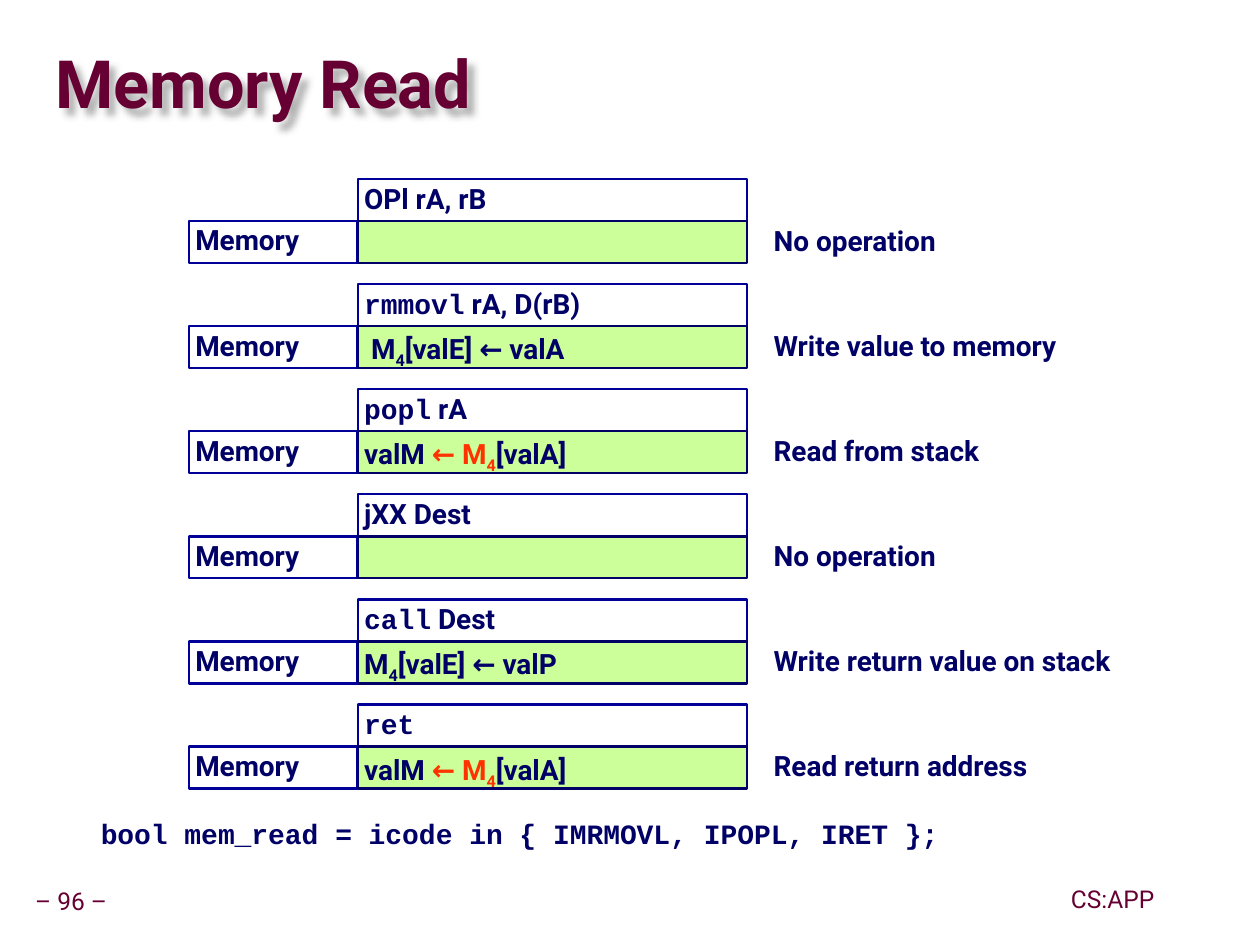
import pptx
import pptx.util
import pptx.dml.color
import pptx.enum.shapes
import pptx.enum.text
import lxml.etree

Inches, Pt = pptx.util.Inches, pptx.util.Pt
RGB = pptx.dml.color.RGBColor.from_string
Align, Anchor = pptx.enum.text.PP_ALIGN, pptx.enum.text.MSO_ANCHOR
Fit = pptx.enum.text.MSO_AUTO_SIZE
RECT = pptx.enum.shapes.MSO_SHAPE.RECTANGLE

HUES = {"wine": "660033", "navy": "000066", "blue": "000099",
        "green": "CCFF99", "red": "FF3300"}
BODY = {"name": "Roboto", "size": Pt(16), "bold": True}
CODE = {**BODY, "name": "Courier New"}
FOOT = {"name": "Roboto", "size": Pt(14), "bold": False}
HEAD = {**BODY, "size": Pt(38)}

deck = pptx.Presentation()
deck.slide_width, deck.slide_height = Inches(10), Inches(7.5)
slide = deck.slides.add_slide(deck.slide_layouts[6])


def write(shape, runs, hue="navy", inset=0.05, space=0.9, align=Align.LEFT, **frame):
    """Fill a shape with runs of (text, font, hue or None, is subscript)."""
    text = shape.text_frame
    sides = ("left", "top", "right", "bottom")
    margins = {f"margin_{side}": Inches(inset) for side in sides}
    look = {"word_wrap": True, "vertical_anchor": Anchor.TOP, **margins, **frame}
    for key, value in look.items():
        setattr(text, key, value)
    para = text.paragraphs[0]
    para.alignment, para.line_spacing = align, space
    for words, font, tint, sub in runs:
        run = para.add_run()
        run.text = words
        for key, value in font.items():
            setattr(run.font, key, value)
        run.font.color.rgb = RGB(HUES[tint or hue])
        if sub:
            run.font._element.set("baseline", "-25000")


def box(left, top, width, line, fill=None):
    shape = slide.shapes.add_shape(RECT, Inches(left), Inches(top), Inches(width), Inches(TALL))
    shape.shadow.inherit = False
    shape.line.color.rgb = RGB(HUES[line])
    shape.line.width = Pt(1.5)
    if fill:
        shape.fill.solid()
        shape.fill.fore_color.rgb = RGB(HUES[fill])
    else:
        shape.fill.background()
    return shape


# Footer and title
for words, left, top, width in [("– 96 –", 0.23, 7, 0.67), ("CS:APP", 8.42, 6.99, 0.82)]:
    foot = slide.shapes.add_textbox(Inches(left), Inches(top), Inches(width), Inches(0.32))
    write(foot, [(words, FOOT, None, False)], "wine", inset=0, align=Align.CENTER,
          word_wrap=False, vertical_anchor=Anchor.MIDDLE)

title = slide.shapes.add_textbox(Inches(0.44), Inches(0.27), Inches(9.53), Inches(0.85))
write(title, [("Memory Read", HEAD, None, False)], "wine", inset=0, space=0.87,
      vertical_anchor=Anchor.MIDDLE)
title.shadow.inherit = False
A = "{http://schemas.openxmlformats.org/drawingml/2006/main}"
glow = lxml.etree.SubElement(title._element.spPr.find(A + "effectLst"), A + "outerShdw",
                             blurRad="50800", dist="63500", dir="2700000")
shade = lxml.etree.SubElement(glow, A + "srgbClr", val="000000")
lxml.etree.SubElement(shade, A + "alpha", val="30000")

# One block per instruction: heading, memory stage, remark
LEFT, MID, SIDE = 1.5, 2.84, 6.09
TOP, END, WIDE = 1.42, 5.59, 3.09
TALL = 1 / 3
load = [("valM ", BODY, None, False), ("← M", BODY, "red", False),
        ("4", BODY, "red", True), ("[valA]", BODY, None, False)]


def store(lead, value):
    return [(lead, BODY, None, False), ("4", BODY, None, True),
            (f"[valE] ← {value}", BODY, None, False)]


blocks = [
    ("", "OPl rA, rB", [], "No operation"),
    ("rmmovl", " rA, D(rB)", store(" M", "valA"), "Write value to memory"),
    ("popl", " rA", load, "Read from stack"),
    ("", "jXX Dest", [], "No operation"),
    ("call", " Dest", store("M", "valP"), "Write return value on stack"),
    ("ret", "", load, "Read return address"),
]
step = (END - TOP) / (len(blocks) - 1)
for row, (code, args, stage, note) in enumerate(blocks):
    top = TOP + row * step
    low = top + TALL
    parts = [(code, CODE, None, False), (args, BODY, None, False)]
    write(box(MID, top, WIDE, "blue"), [part for part in parts if part[0]])
    write(box(LEFT, low, MID - LEFT, "blue"), [("Memory", BODY, None, False)],
          vertical_anchor=Anchor.MIDDLE)
    write(box(MID, low, WIDE, "navy", "green"), stage)
    side = slide.shapes.add_textbox(Inches(SIDE), Inches(low), Inches(WIDE), Inches(TALL))
    write(side, [(note, BODY, None, False)])

rule = slide.shapes.add_textbox(Inches(0.75), Inches(6.43), Inches(8.76), Inches(0.37))
write(rule, [("bool mem_read = icode in { IMRMOVL, IPOPL, IRET };", CODE, None, False)],
      space=1.0, auto_size=Fit.SHAPE_TO_FIT_TEXT)

deck.save("out.pptx")
